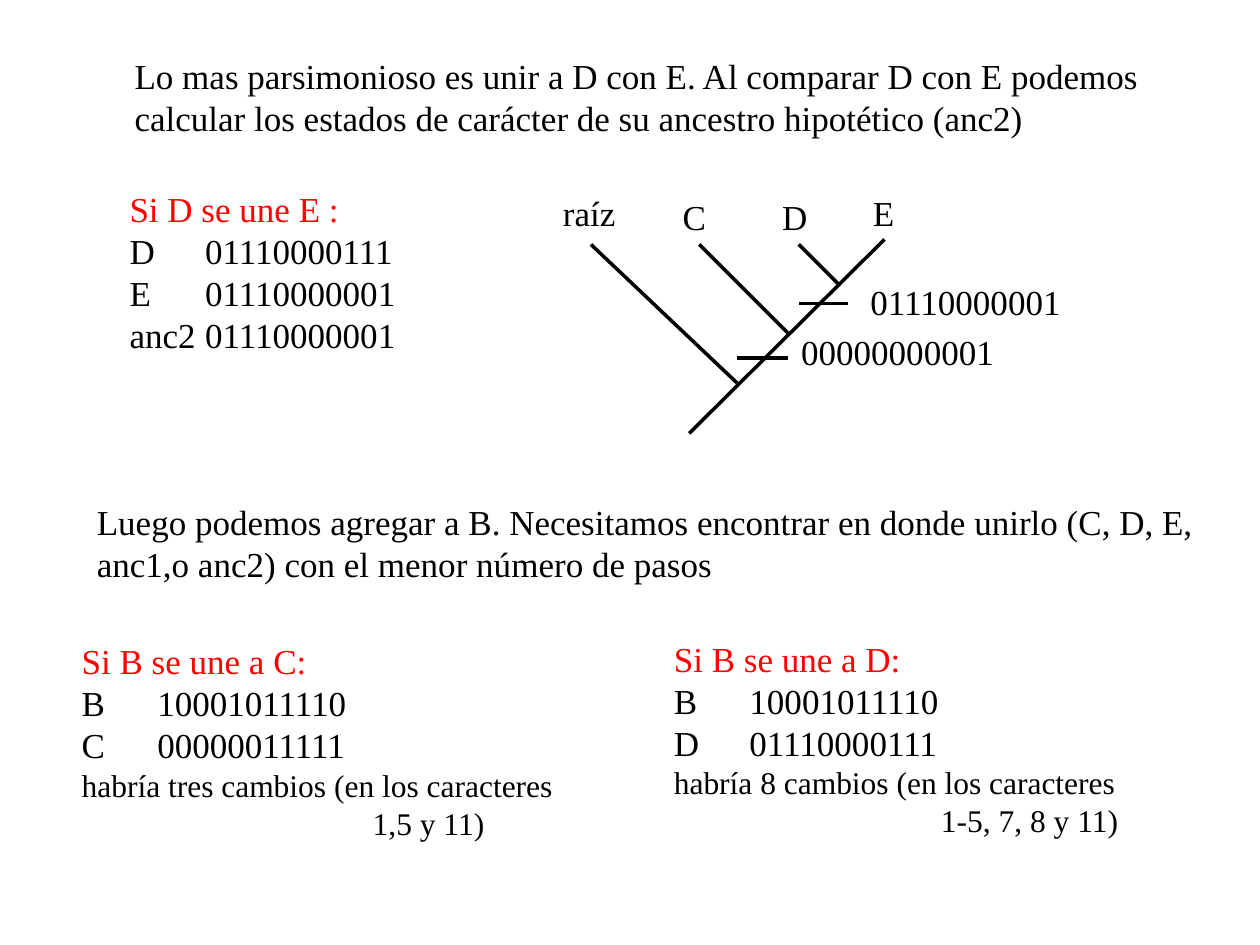
from typing import NamedTuple

from lxml.etree import SubElement
from pptx import Presentation
from pptx.dml.color import RGBColor
from pptx.enum.shapes import MSO_CONNECTOR
from pptx.enum.text import MSO_AUTO_SIZE
from pptx.oxml.ns import qn
from pptx.util import Inches, Pt

BLACK = RGBColor(0x00, 0x00, 0x00)
RED = RGBColor(0xFF, 0x00, 0x00)
FONT = "Times New Roman"
SEQUENCE_TAB = 0.6


class Line(NamedTuple):
    text: str
    color: RGBColor = BLACK
    size: int = 20
    tab: float = SEQUENCE_TAB


class Block(NamedTuple):
    left: float
    top: float
    width: float
    height: float
    lines: list[Line]


class Branch(NamedTuple):
    x1: float
    y1: float
    x2: float
    y2: float


def format_text(paragraph, text: str, *, color: RGBColor, size: int, tab: float) -> None:
    if "\t" in text:
        tabs = SubElement(paragraph._p.get_or_add_pPr(), qn("a:tabLst"))
        SubElement(tabs, qn("a:tab"), pos=str(Inches(tab)), algn="l")
    run = paragraph.add_run()
    run.text = text
    run.font.name = FONT
    run.font.size = Pt(size)
    run.font.color.rgb = color


def draw_block(slide, block: Block) -> None:
    box = slide.shapes.add_textbox(
        Inches(block.left), Inches(block.top), Inches(block.width), Inches(block.height)
    )
    frame = box.text_frame
    frame.word_wrap = False
    frame.auto_size = MSO_AUTO_SIZE.SHAPE_TO_FIT_TEXT
    for index, line in enumerate(block.lines):
        paragraph = frame.add_paragraph() if index else frame.paragraphs[0]
        format_text(paragraph, line.text, color=line.color, size=line.size, tab=line.tab)


def draw_branch(slide, branch: Branch) -> None:
    connector = slide.shapes.add_connector(
        MSO_CONNECTOR.STRAIGHT, *(Inches(value) for value in branch)
    )
    connector.line.color.rgb = BLACK
    connector.line.width = Pt(2)
    SubElement(connector._element.spPr, qn("a:effectLst"))


def union(title: str, *sequences: str) -> list[Line]:
    return [Line(title, color=RED), *map(Line, sequences)]


def changes(count: str, characters: str, tab: float) -> list[Line]:
    return [
        Line(f"habría {count} cambios (en los caracteres", size=18),
        Line(f"\t{characters}", size=18, tab=tab),
    ]


BLOCKS = [
    Block(0.97, 0.38, 8.2, 0.77, [
        Line("Lo mas parsimonioso es unir a D con E. Al comparar D con E podemos"),
        Line("calcular los estados de carácter de su ancestro hipotético (anc2)"),
    ]),
    Block(0.93, 1.44, 2.76, 1.44, union(
        "Si D se une E :", "D\t01110000111", "E\t01110000001", "anc2\t01110000001",
    )),
    Block(0.67, 3.92, 8.92, 0.77, [
        Line("Luego podemos agregar a B. Necesitamos encontrar en donde unirlo (C, D, E,"),
        Line("anc1,o anc2) con el menor número de pasos"),
    ]),
    Block(0.55, 5.03, 4, 1.7, [
        *union("Si B se une a C:", "B\t10001011110", "C\t00000011111"),
        *changes("tres", "1,5 y 11)", 2.31),
    ]),
    Block(5.25, 5.01, 3.77, 1.7, [
        *union("Si B se une a D:", "B\t10001011110", "D\t01110000111"),
        *changes("8", "1-5, 7, 8 y 11)", 2.12),
    ]),
    Block(4.37, 1.47, 0.66, 0.44, [Line("raíz")]),
    Block(5.32, 1.5, 0.38, 0.44, [Line("C")]),
    Block(6.11, 1.5, 0.4, 0.44, [Line("D")]),
    Block(6.83, 1.47, 0.37, 0.44, [Line("E")]),
    Block(6.81, 2.18, 1.73, 0.44, [Line("01110000001")]),
    Block(6.26, 2.57, 1.73, 0.44, [Line("00000000001")]),
]

TREE = [
    Branch(7.02, 1.9, 5.47, 3.44),
    Branch(5.85, 3.04, 4.69, 1.94),
    Branch(6.26, 2.65, 5.55, 1.94),
    Branch(6.65, 2.25, 6.34, 1.94),
    Branch(5.85, 2.84, 6.25, 2.84),
    Branch(6.34, 2.41, 6.73, 2.41),
]


def main() -> None:
    presentation = Presentation()
    presentation.slide_width = Inches(10)
    presentation.slide_height = Inches(7.5)
    slide = presentation.slides.add_slide(presentation.slide_layouts[6])
    for branch in TREE:
        draw_branch(slide, branch)
    for block in BLOCKS:
        draw_block(slide, block)
    presentation.save("out.pptx")


if __name__ == "__main__":
    main()
